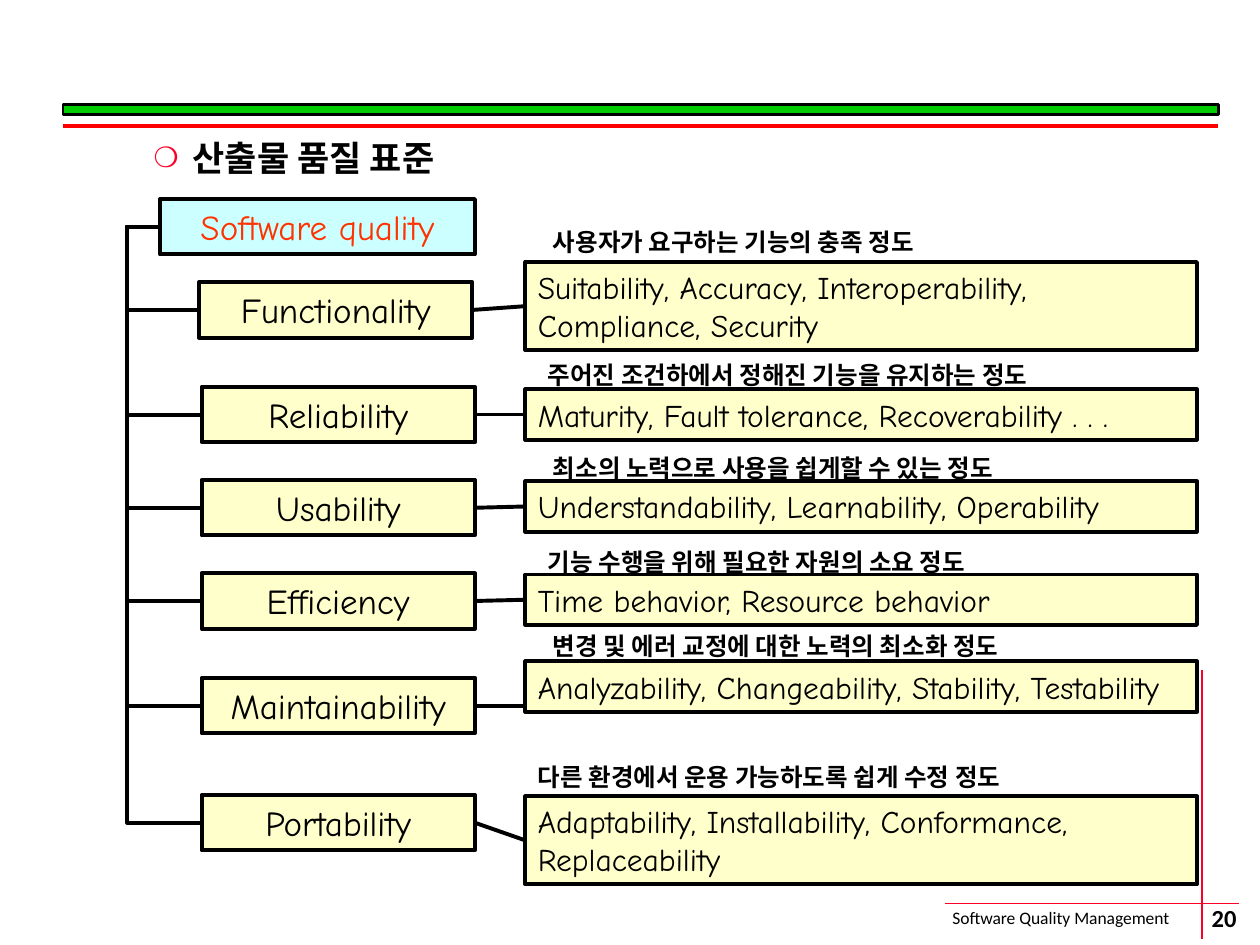
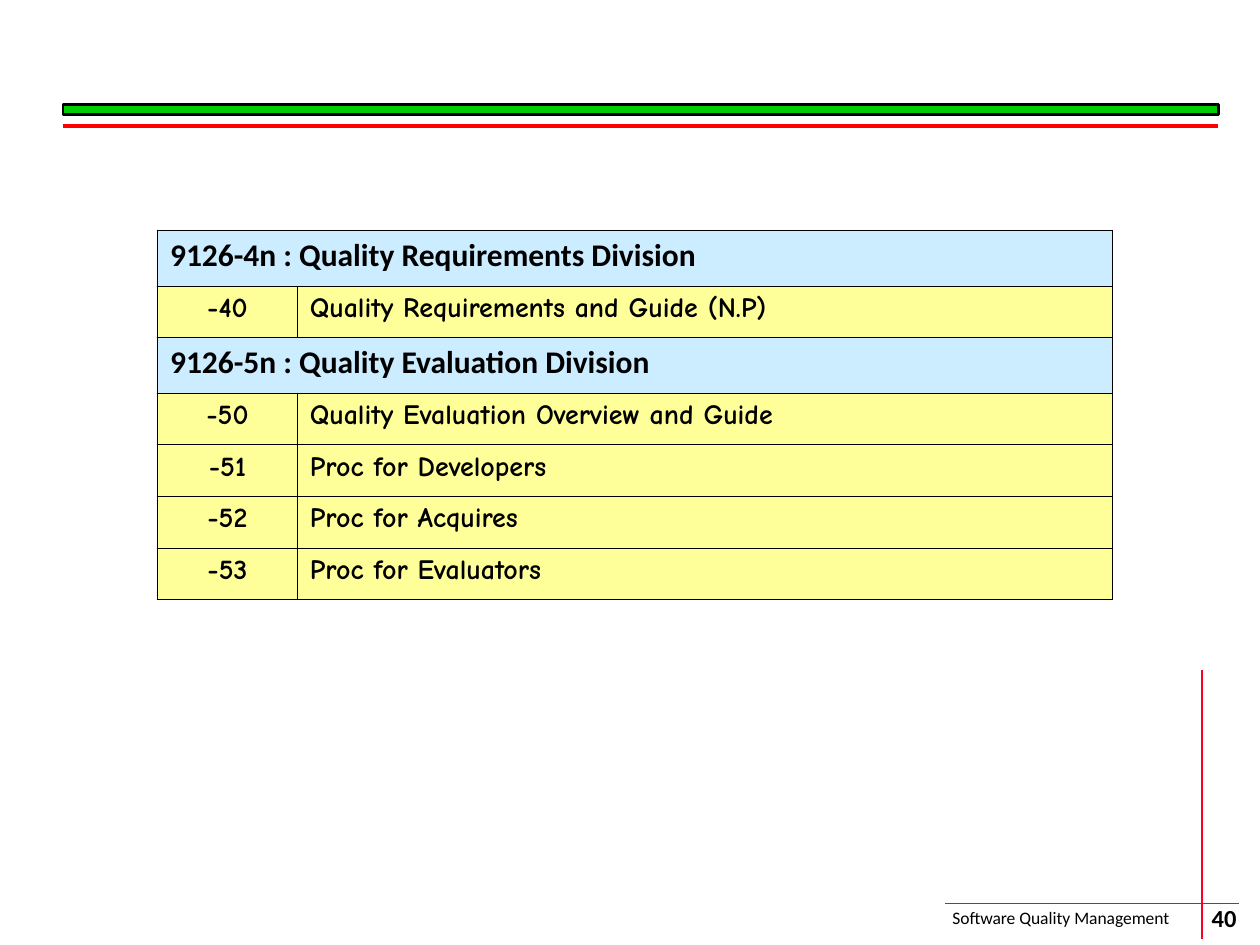
from lxml import etree
from pptx import Presentation, util as u
from pptx.dml.color import RGBColor
from pptx.enum import shapes as sh, text as tx
from pptx.oxml import ns

HUES = {
    "black": "000000", "green": "00CC00", "red": "FF0000", "rose": "FC0128",
    "coral": "FF3300", "aqua": "CCFFFF", "cream": "FFFFCC",
    "sky": "CCECFF", "lemon": "FFFF99",
}
HAND, SANS = "Comic Neue", "Calibri"
ALIGN = tx.PP_ALIGN
FORMATS = {
    "list": {"name": HAND, "size": 20, "bold": True},
    "node": {"name": HAND, "size": 20},
    "part": {"name": HAND, "size": 18},
    "note": {"name": HAND, "size": 14, "bold": True},
    "foot": {"name": SANS, "size": 10},
    "page": {"name": SANS, "size": 14, "bold": True},
    "head": {"name": SANS, "size": 18, "bold": True},
    "cell": {"name": HAND, "size": 16, "bold": True},
}

ROOT = (1.27, 1.58, 2.5, 0.44)
TRUNK = 1.01
NODE_W, NODE_H = 2.17, 0.44
PART_X, PART_W = 4.17, 5.33
TRAITS = [
    ("Functionality", 1.58, 2.24, "Suitability, Accuracy, Interoperability, Compliance, Security",
     2.08, 0.7, "사용자가 요구하는 기능의 충족 정도", (4.29, 1.75, 3.96, 0.34)),
    ("Reliability", 1.6, 3.07, "Maturity, Fault tolerance, Recoverability . . .",
     3.09, 0.4, "주어진 조건하에서 정해진 기능을 유지하는 정도", (4.25, 2.81, 5.17, 0.34)),
    ("Usability", 1.6, 3.81, "Understandability, Learnability, Operability",
     3.82, 0.4, "최소의 노력으로 사용을 쉽게할 수 있는 정도", (4.29, 3.55, 4.82, 0.34)),
    ("Efficiency", 1.6, 4.55, "Time behavior, Resource behavior",
     4.56, 0.4, "기능 수행을 위해 필요한 자원의 소요 정도", (4.25, 4.29, 4.6, 0.34)),
    ("Maintainability", 1.6, 5.38, "Analyzability, Changeability, Stability, Testability",
     5.25, 0.4, "변경 및 에러 교정에 대한 노력의 최소화 정도", (4.29, 4.96, 4.92, 0.34)),
    ("Portability", 1.6, 6.31, "Adaptability, Installability, Conformance, Replaceability",
     6.32, 0.7, "다른 환경에서 운용 가능하도록 쉽게 수정 정도", (4.17, 6, 5.04, 0.34)),
]
LEVEL = {"Maintainability"}

PARTS = [
    ("9126-4n : Quality Requirements Division", None),
    ("-40", "Quality Requirements and Guide (N.P)"),
    ("9126-5n : Quality Evaluation Division", None),
    ("-50", "Quality Evaluation Overview and Guide"),
    ("-51", "Proc for Developers"),
    ("-52", "Proc for Acquires"),
    ("-53", "Proc for Evaluators"),
]


def hue(name):
    """Return the named colour."""
    return RGBColor.from_string(HUES[name])


def inch(vals):
    """Turn numbers into lengths."""
    return [u.Inches(val) for val in vals]


def sub(root, tag, **attrs):
    """Add a drawing element under root."""
    return etree.SubElement(root, ns.qn(tag), attrs)


def write(frame, words, kind, color="black", align=None):
    """Write one paragraph in a named format."""
    para = frame.paragraphs[0]
    para.alignment = align
    run = para.add_run()
    run.text = words
    for key, val in FORMATS[kind].items():
        setattr(run.font, key, u.Pt(val) if key == "size" else val)
    run.font.color.rgb = hue(color)


def box(slide, at, fill, width=2.25):
    """Add a filled rectangle with a black outline."""
    rect = slide.shapes.add_shape(sh.MSO_SHAPE.RECTANGLE, *inch(at))
    rect.shadow.inherit = False
    rect.fill.solid()
    rect.fill.fore_color.rgb = hue(fill)
    rect.line.color.rgb = hue("black")
    rect.line.width = u.Pt(width)
    return rect


def card(slide, at, fill, words, kind, color="black", align=ALIGN.LEFT):
    """Add a rectangle that holds text."""
    rect = box(slide, at, fill)
    frame = rect.text_frame
    frame.word_wrap = True
    frame.vertical_anchor = tx.MSO_ANCHOR.TOP
    write(frame, words, kind, color, align)
    return rect


def label(slide, at, words, kind, align=ALIGN.LEFT):
    """Add a text box."""
    frame = slide.shapes.add_textbox(*inch(at)).text_frame
    frame.word_wrap = True
    write(frame, words, kind, align=align)
    return frame


def line(slide, ends, color="black", width=2.25, kind=sh.MSO_CONNECTOR.STRAIGHT):
    """Add a connector without a shadow."""
    link = slide.shapes.add_connector(kind, *inch(ends))
    link.line.color.rgb = hue(color)
    link.line.width = u.Pt(width)
    sub(link._element.spPr, "a:effectLst")
    return link


def branch(slide, left, mid):
    """Run an elbow from the root by the trunk to a node."""
    start = ROOT[0]
    link = line(slide, (start, ROOT[1] + ROOT[3] / 2, left, mid),
                kind=sh.MSO_CONNECTOR.ELBOW)
    bend = round((TRUNK - start) / (left - start) * 100000)
    geom = link._element.spPr.find(ns.qn("a:prstGeom"))
    sub(geom.find(ns.qn("a:avLst")), "a:gd", name="adj1", fmla=f"val {bend}")


def frame_up(slide, page):
    """Add the band, rules and footer that the slides share."""
    line(slide, (7.5, 7.17, 9.83, 7.17), "rose", 1)
    label(slide, (7.46, 7.15, 2.19, 0.27), "Software Quality Management", "foot")
    line(slide, (9.54, 5.32, 9.54, 7.45), "rose", 1)
    spot = label(slide, (9.22, 7.14, 0.99, 0.28), page, "page", ALIGN.CENTER)
    spot.vertical_anchor = tx.MSO_ANCHOR.MIDDLE
    for side in ("left", "top", "right", "bottom"):
        setattr(spot, f"margin_{side}", 0)
    box(slide, (0.5, 0.83, 9.17, 0.08), "green", 1.5)
    line(slide, (0.5, 1, 9.67, 1), "red")


def topic(slide, words):
    """Fill the body placeholder with one bulleted line."""
    title = slide.shapes.title._element
    title.getparent().remove(title)
    body = slide.placeholders[1]
    body.left, body.top, body.width, body.height = inch((0.5, 1, 9.17, 6.02))
    para = body.text_frame.paragraphs[0]
    para.level = 1
    props = para._p.get_or_add_pPr()
    props.set("marL", str(u.Inches(0.93)))
    props.set("indent", str(u.Inches(-0.31)))
    sub(sub(props, "a:buClr"), "a:srgbClr", val=HUES["rose"])
    sub(props, "a:buSzPct", val="80000")
    sub(props, "a:buChar", char="❍")
    para.line_spacing = 1.1
    para.space_before = u.Pt(0)
    write(body.text_frame, words, "list")


def trait(slide, name, left, top, parts, ptop, high, note, spot):
    """Add one quality trait with its branch, parts and note."""
    mid = top + NODE_H / 2
    node = card(slide, (left, top, NODE_W, NODE_H), "cream", name, "node",
                align=ALIGN.CENTER)
    branch(slide, left, mid)
    part = card(slide, (PART_X, ptop, PART_W, high), "cream", parts, "part")
    link = line(slide, (left + NODE_W, mid, PART_X, mid))
    link.begin_connect(node, 3)
    if name not in LEVEL:
        link.end_connect(part, 1)
    label(slide, spot, note, "note", ALIGN.JUSTIFY)


def edge(cell, sides):
    """Draw the borders of a cell, thick on the outer sides."""
    props = cell._tc.get_or_add_tcPr()
    for side, outer in sides.items():
        width = u.Pt(1.08 if outer else 0.45)
        rule = sub(props, f"a:ln{side}", w=str(width))
        sub(sub(rule, "a:solidFill"), "a:srgbClr", val=HUES["black"])


def grid(slide, rows):
    """Add the table of divisions and their parts."""
    table = slide.shapes.add_table(len(rows), 2, *inch((1.25, 1.83, 7.58, 2.92))).table
    table.first_row = table.horz_banding = False
    for col, width in zip(table.columns, inch((1.11, 6.47))):
        col.width = width
    last = len(rows) - 1
    for at, (code, name) in enumerate(rows):
        head = name is None
        table.rows[at].height = u.Inches(0.44 if head else 0.41)
        for col in range(2):
            cell = table.cell(at, col)
            edge(cell, {"L": col == 0, "R": col == 1 or head,
                        "T": at == 0, "B": at == last})
            cell.fill.solid()
            cell.fill.fore_color.rgb = hue("sky" if head else "lemon")
        first = table.cell(at, 0)
        if head:
            first.merge(table.cell(at, 1))
            write(first.text_frame, code, "head")
        else:
            write(first.text_frame, code, "cell", align=ALIGN.CENTER)
            write(table.cell(at, 1).text_frame, name, "cell")


def main():
    """Build and save the two slides."""
    deck = Presentation()
    deck.slide_width, deck.slide_height = inch((10, 7.5))

    tree = deck.slides.add_slide(deck.slide_layouts[1])
    frame_up(tree, "20")
    topic(tree, "산출물 품질 표준")
    card(tree, ROOT, "aqua", "Software quality", "node", "coral", ALIGN.CENTER)
    for row in TRAITS:
        trait(tree, *row)

    plan = deck.slides.add_slide(deck.slide_layouts[6])
    frame_up(plan, "40")
    grid(plan, PARTS)
    deck.save("out.pptx")


if __name__ == "__main__":
    main()
